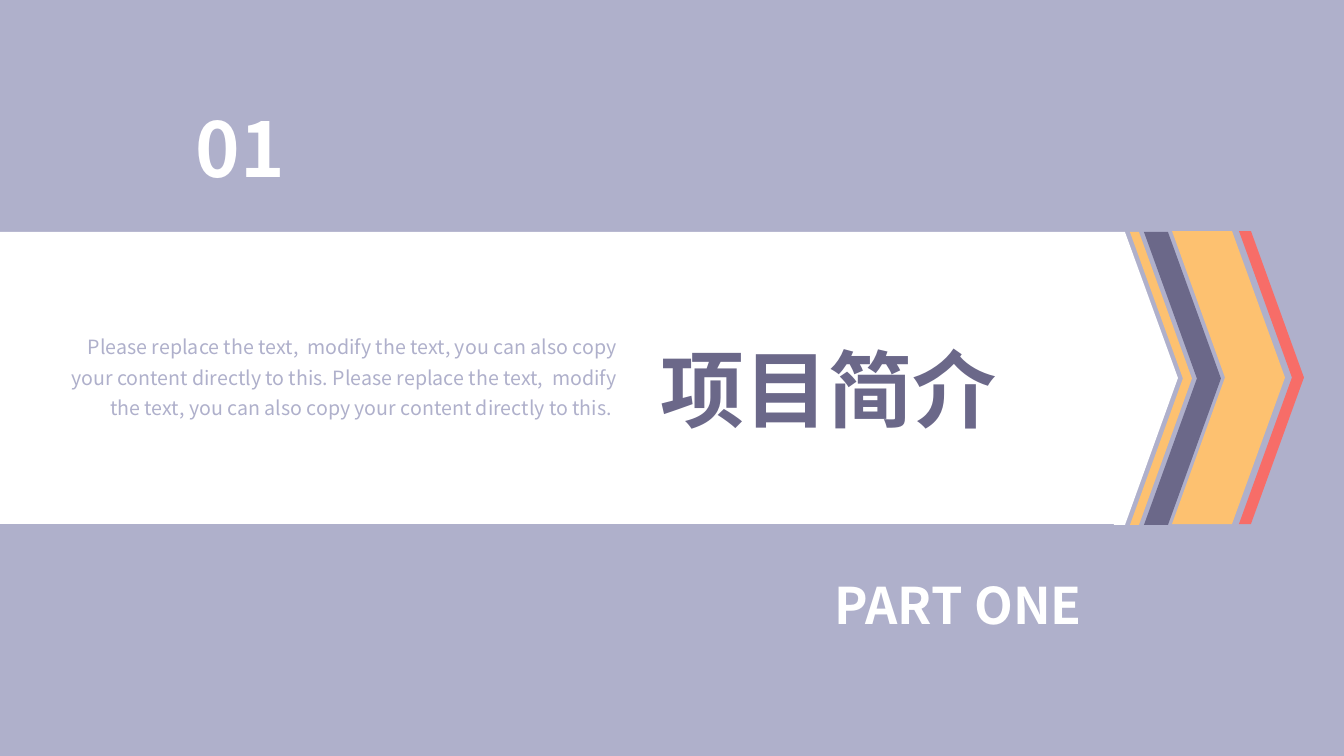
from pptx import Presentation
from pptx import util as u
from pptx.dml.color import RGBColor
from pptx.enum import shapes, text
from pptx.oxml.ns import qn
from lxml import etree

PX = 914400 / 100.8
FONT = "Noto Sans CJK SC"
COLORS = {"lilac": "AFB0CB", "plum": "6B6889", "amber": "FDC170",
          "coral": "F76D68", "white": "FFFFFF"}
CHEVRON_TIP = 53


def px(n):
    return u.Emu(round(n * PX))


def rgb(name):
    return RGBColor.from_string(COLORS[name])


def paint(sp, color):
    sp.shadow.inherit = False
    sp.fill.solid()
    sp.fill.fore_color.rgb = rgb(color)
    sp.line.fill.background()


def write(sp, box, words, size, color, bold=True, align=text.PP_ALIGN.JUSTIFY, spacing=1.0):
    sp.left, sp.top, sp.width, sp.height = map(px, box)
    tf = sp.text_frame
    tf.word_wrap = True
    tf.auto_size = text.MSO_AUTO_SIZE.SHAPE_TO_FIT_TEXT
    tf.vertical_anchor = text.MSO_ANCHOR.TOP
    p = tf.paragraphs[0]
    p.text = words
    p.alignment = align
    p.line_spacing = spacing
    f = p.font
    f.size, f.bold, f.name = u.Pt(size), bold, FONT
    f.color.rgb = rgb(color)
    for r in p.runs:
        ea = etree.SubElement(r.font._element, qn("a:ea"))
        ea.set("typeface", FONT)


def add_label(s, box, *args, **kwargs):
    write(s.shapes.add_textbox(0, 0, 0, 0), box, *args, **kwargs)


def add_chevrons(s, left, top, height):
    for dx, dy, width, color in [(109, 0, 65, "coral"), (14, 1, 77, "plum"),
                                 (42, 0, 113, "amber"), (0, 1, 62, "amber")]:
        sp = s.shapes.add_shape(shapes.MSO_SHAPE.CHEVRON, px(left + dx), px(top + dy),
                                px(width), px(height))
        sp.adjustments[0] = CHEVRON_TIP / width
        paint(sp, color)


def add_banner(s, left, top, width, height):
    right, bottom = left + width, top + height
    shoulder = right - CHEVRON_TIP
    step = shoulder - 11
    fb = s.shapes.build_freeform(left, top, scale=PX)
    fb.add_line_segments([(shoulder, top), (right, top + height / 2), (shoulder, bottom),
                          (step, bottom), (step, bottom - 1), (left, bottom - 1)])
    paint(fb.convert_to_shape(), "white")


def add_section(prs):
    s = prs.slides.add_slide(prs.slide_layouts[5])
    s.background.fill.solid()
    s.background.fill.fore_color.rgb = rgb("lilac")
    add_chevrons(s, 1130, 231, 293)
    add_banner(s, 0, 232, 1178, 293)
    title = s.shapes.title
    s.shapes._spTree.append(title._element)
    write(title, (650, 302, 430, 132), "项目简介", 60, "plum", spacing=1.3)
    sentence = "Please replace the text,  modify the text, you can also copy your content directly to this. "
    add_label(s, (58, 323, 569, 131), sentence * 2, 14, "lilac",
              bold=False, align=text.PP_ALIGN.RIGHT, spacing=1.3)
    add_label(s, (825, 569, 438, 72), "PART ONE", 36, "white")
    add_label(s, (186, 97, 140, 102), "01", 54, "white")


def main():
    prs = Presentation()
    prs.slide_width, prs.slide_height = px(1344), px(756)
    add_section(prs)
    prs.save("out.pptx")


if __name__ == "__main__":
    main()
